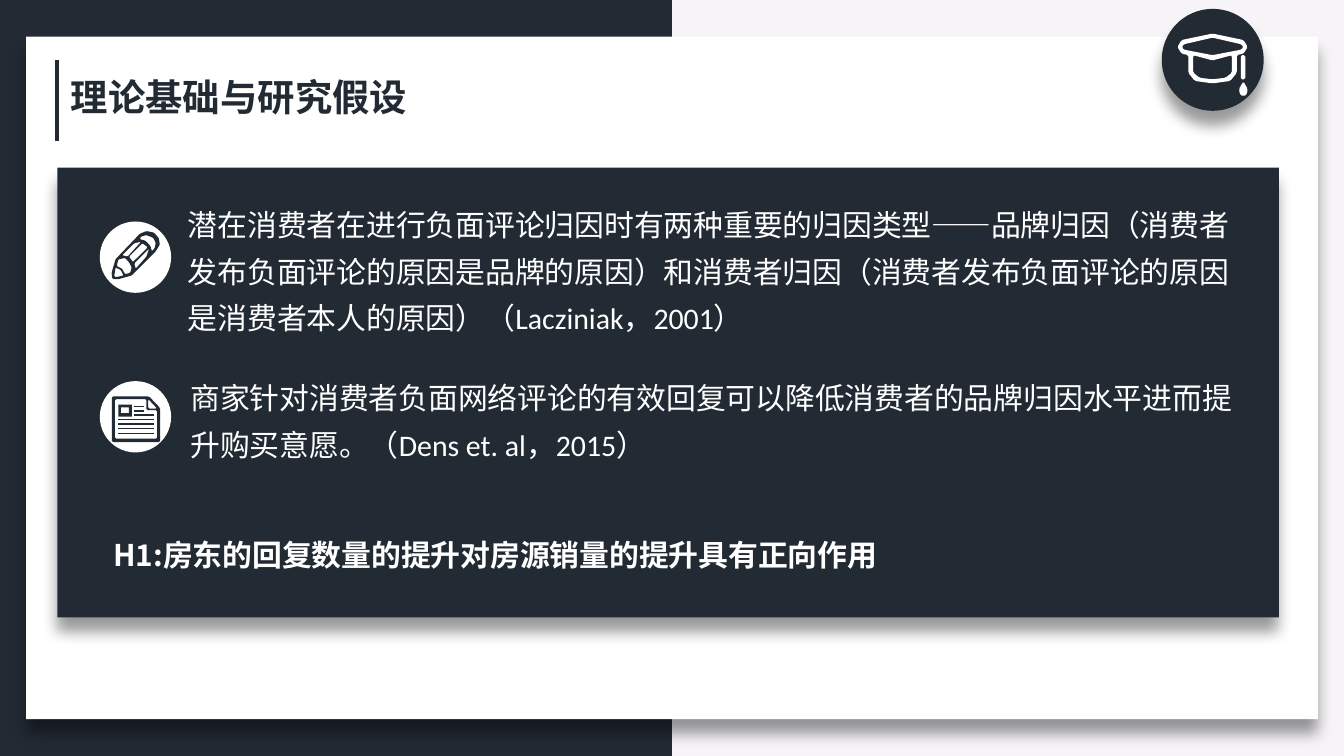
import math
from dataclasses import dataclass

import lxml.etree
import pptx
import pptx.dml.color
import pptx.enum.shapes
import pptx.enum.text
import pptx.oxml
import pptx.oxml.ns
import pptx.util

Pt = pptx.util.Pt
SHAPE = pptx.enum.shapes.MSO_SHAPE
COLORS = {"navy": "222B34", "white": "FFFFFF", "mist": "F6F4F7", "shadow": "000000"}
CHINESE_FONT = "Noto Sans CJK SC"
Points = list[tuple[float, float]]


@dataclass
class Panel:
    kind: int
    left: float
    top: float
    width: float
    height: float
    color: str
    shadow: bool = False


@dataclass
class Label:
    text: str
    left: float
    top: float
    width: float
    height: float
    size: float = 16
    color: str = "white"
    font: str = CHINESE_FONT
    bold: bool = True
    wrap: bool = False
    line_spacing: float = 1.0
    space_before: float = 0


@dataclass
class Outline:
    color: str
    bevel: float
    contours: list[Points]


def rgb(name: str) -> pptx.dml.color.RGBColor:
    return pptx.dml.color.RGBColor.from_string(COLORS[name])


def paint(shape, color: str) -> None:
    shape.fill.solid()
    shape.fill.fore_color.rgb = rgb(color)
    shape.line.fill.background()
    shape.shadow.inherit = False


def draw_panel(page, panel: Panel) -> None:
    shape = page.shapes.add_shape(
        panel.kind, Pt(panel.left), Pt(panel.top), Pt(panel.width), Pt(panel.height))
    paint(shape, panel.color)
    if panel.shadow:
        effects = shape.element.spPr.find(pptx.oxml.ns.qn("a:effectLst"))
        effects.append(pptx.oxml.parse_xml(
            f'<a:outerShdw {pptx.oxml.ns.nsdecls("a")} blurRad="{Pt(8)}" dist="{Pt(8)}" '
            f'dir="5400000" algn="t" rotWithShape="0"><a:srgbClr val="{COLORS["shadow"]}">'
            '<a:alpha val="40000"/></a:srgbClr></a:outerShdw>'))


def draw_title_rule(page) -> None:
    rule = page.shapes.add_connector(
        pptx.enum.shapes.MSO_CONNECTOR.STRAIGHT, Pt(30.7), Pt(32.2), Pt(30.7), Pt(75.4))
    rule.line.color.rgb = rgb("navy")
    rule.line.width = Pt(2.25)
    lxml.etree.SubElement(rule.element.spPr, pptx.oxml.ns.qn("a:effectLst"))


def fill_label(box, label: Label) -> None:
    box.left, box.top = Pt(label.left), Pt(label.top)
    box.width, box.height = Pt(label.width), Pt(label.height)
    frame = box.text_frame
    frame.text = label.text
    frame.word_wrap = label.wrap
    frame.auto_size = pptx.enum.text.MSO_AUTO_SIZE.SHAPE_TO_FIT_TEXT
    frame.vertical_anchor = pptx.enum.text.MSO_ANCHOR.TOP
    para = frame.paragraphs[0]
    para.alignment = pptx.enum.text.PP_ALIGN.LEFT
    para.line_spacing = label.line_spacing
    para.space_before = Pt(label.space_before)
    properties = para._p.get_or_add_pPr()
    properties.set("marL", "0")
    properties.set("indent", "0")
    lxml.etree.SubElement(properties, pptx.oxml.ns.qn("a:buNone"))
    span = para.runs[0]
    span.font.size = Pt(label.size)
    span.font.bold = label.bold
    span.font.name = label.font
    span.font.color.rgb = rgb(label.color)
    east_asian = lxml.etree.SubElement(span._r.get_or_add_rPr(), pptx.oxml.ns.qn("a:ea"))
    east_asian.set("typeface", CHINESE_FONT)


def beveled(corners: Points, bevel: float) -> Points:
    if not bevel:
        return [(Pt(x), Pt(y)) for x, y in corners]
    result = []
    for index, corner in enumerate(corners):
        for neighbour in (corners[index - 1], corners[(index + 1) % len(corners)]):
            share = min(bevel / math.dist(corner, neighbour), 0.4)
            x, y = (c + (n - c) * share for c, n in zip(corner, neighbour))
            result.append((Pt(x), Pt(y)))
    return result


def draw_outline(page, outline: Outline) -> None:
    builder = None
    for contour in outline.contours:
        start, *rest = beveled(contour, outline.bevel)
        if builder is None:
            builder = page.shapes.build_freeform(*start, scale=1.0)
        else:
            builder.move_to(*start)
        builder.add_line_segments(rest, close=True)
    paint(builder.convert_to_shape(), outline.color)


def mirrored(half: Points, center: float) -> Points:
    right = [(center + x, y) for x, y in half]
    left = [(center - x, y) for x, y in reversed(half) if x]
    return right + left


def block(left: float, top: float, width: float, height: float) -> Points:
    right, bottom = left + width, top + height
    return [(left, top), (right, top), (right, bottom), (left, bottom)]


PANELS = [
    Panel(SHAPE.RECTANGLE, 0, 0, 360, 405, "navy"),
    Panel(SHAPE.RECTANGLE, 14, 19.7, 692, 365.6, "white", True),
    Panel(SHAPE.OVAL, 622.4, 4.8, 54.6, 54.6, "navy", True),
    Panel(SHAPE.RECTANGLE, 30.7, 89.8, 654.5, 241, "navy", True),
    Panel(SHAPE.OVAL, 53.5, 118.7, 38.2, 38.2, "white"),
    Panel(SHAPE.OVAL, 53.5, 204.2, 38.2, 38.2, "white"),
]

CAP_HALVES = [
    [(0, 18), (16.6, 21.5), (18.8, 25.2), (16.6, 28.8), (13, 29.5), (13, 39), (9.5, 43.4), (0, 44.7)],
    [(0, 20.2), (15.6, 23.8), (16.4, 25.2), (15.6, 26.6), (0, 29.6)],
    [(0, 32.4), (10.4, 29.6), (10.4, 38.9), (7, 41.7), (0, 42.5)],
]
CAP = [
    Outline("white", 0.8, [mirrored(half, 649.6) for half in CAP_HALVES]),
    Outline("white", 0.8, [block(664.7, 29.5, 2.4, 13)]),
    Outline("white", 0.8, [mirrored([(0, 43.6), (2.4, 47.8), (1.6, 51), (0, 51.4)], 666.1)]),
]

PENCIL = Outline("navy", 0.5, [
    [(74.9, 125.3), (78.5, 123.8), (82.4, 124.6), (85, 127.4), (85.7, 131), (83.5, 134.6),
     (71.3, 146.9), (70.6, 147.6), (63.4, 149.6), (60.2, 149.4), (59.8, 146.2), (61.9, 139), (62.6, 138.2)],
    [(82.8, 133.2), (81.4, 134.6), (80.6, 131.8), (79.2, 130.3), (77.8, 128.9),
     (74.9, 128.2), (75.6, 126.7), (78.5, 126), (82.1, 127.4), (83.5, 130.3)],
    [(67, 146.9), (65.5, 144), (62.6, 142.6), (63.4, 139), (67, 138.2), (69.1, 140.4), (70.6, 143.3), (69.8, 146.2)],
    [(63.4, 148.3), (61.2, 148.3), (61.9, 143.3), (64.8, 144.7), (66.2, 147.6)],
    [(68.4, 137.5), (65.5, 136.8), (72, 130.3), (75.6, 129.6)],
    [(71.3, 140.4), (69.1, 137.5), (76.3, 130.3), (79.2, 132.5)],
    [(72.7, 144), (72, 141.1), (79.9, 133.2), (78.5, 137.5)],
])

DOCUMENT = [
    Outline("navy", 0.7, [
        [(60, 212.4), (79.9, 212.4), (85.8, 218.6), (85.8, 236.9), (60, 236.9)],
        [(61.6, 213.8), (78.5, 213.8), (78.5, 219.8), (84.2, 219.8), (84.2, 235.1), (61.6, 235.1)],
        [(79.4, 213.8), (84.2, 218.9), (79.4, 218.9)],
    ]),
    Outline("navy", 0, [block(63.4, 216.7, 7.2, 6.5), block(64.8, 218.2, 4.3, 3.2)]),
]
DOCUMENT += [Outline("navy", 0, [block(72, 217.4 + 2.3 * row, width, 0.8)])
             for row, width in enumerate((5, 5, 10.4))]
DOCUMENT += [Outline("navy", 0, [block(63.4, 224.4 + 2.45 * row, 19.1, 0.8)]) for row in range(4)]

TITLE = Label("理论基础与研究假设", 30.7, 36, 196.6, 31.5, size=20, color="navy")
HYPOTHESIS = Label("H1:房东的回复数量的提升对房源销量的提升具有正向作用", 53.6, 284, 430, 26.6)
STATEMENT = {"font": "Calibri", "bold": False, "wrap": True, "line_spacing": 1.3, "space_before": 6}
STATEMENTS = [
    Label("潜在消费者在进行负面评论归因时有两种重要的归因类型——品牌归因（消费者发布负面评论的原因是品牌的原因）"
          "和消费者归因（消费者发布负面评论的原因是消费者本人的原因）（Lacziniak，2001）",
          93.4, 101.5, 576, 80.6, **STATEMENT),
    Label("商家针对消费者负面网络评论的有效回复可以降低消费者的品牌归因水平进而提升购买意愿。（Dens et. al，2015）",
          94.8, 194.2, 579.6, 55.4, **STATEMENT),
]


def main() -> None:
    deck = pptx.Presentation()
    deck.slide_width, deck.slide_height = Pt(720), Pt(405)
    page = deck.slides.add_slide(deck.slide_layouts.get_by_name("Two Content"))
    page.background.fill.solid()
    page.background.fill.fore_color.rgb = rgb("mist")
    placeholders = list(page.placeholders)
    for panel in PANELS:
        draw_panel(page, panel)
    draw_title_rule(page)
    for outline in [*CAP, PENCIL, *DOCUMENT]:
        draw_outline(page, outline)
    for box, label in zip(placeholders, [TITLE, *STATEMENTS]):
        fill_label(box, label)
        box.element.getparent().append(box.element)
    fill_label(page.shapes.add_textbox(0, 0, 0, 0), HYPOTHESIS)
    deck.save("out.pptx")


if __name__ == "__main__":
    main()
